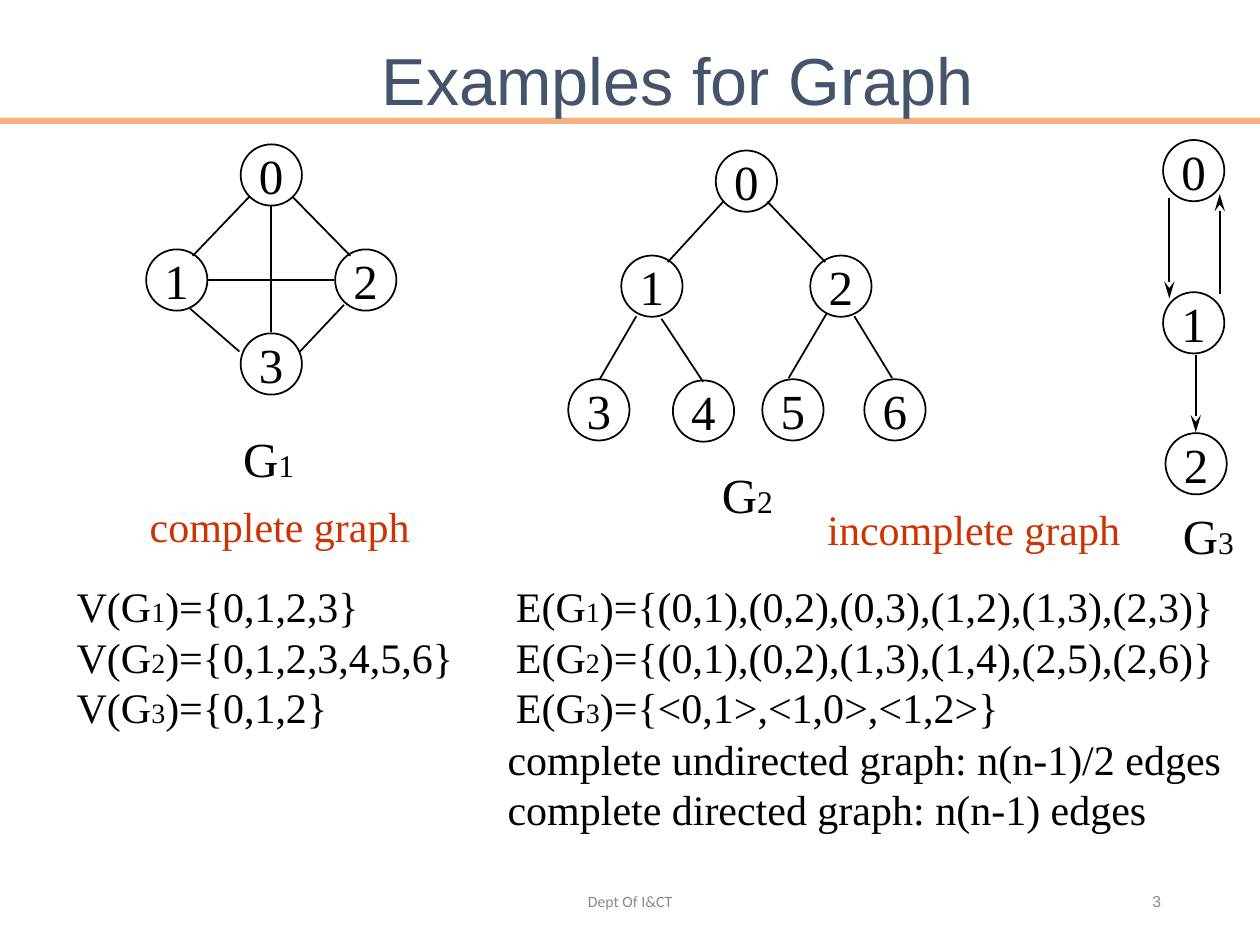
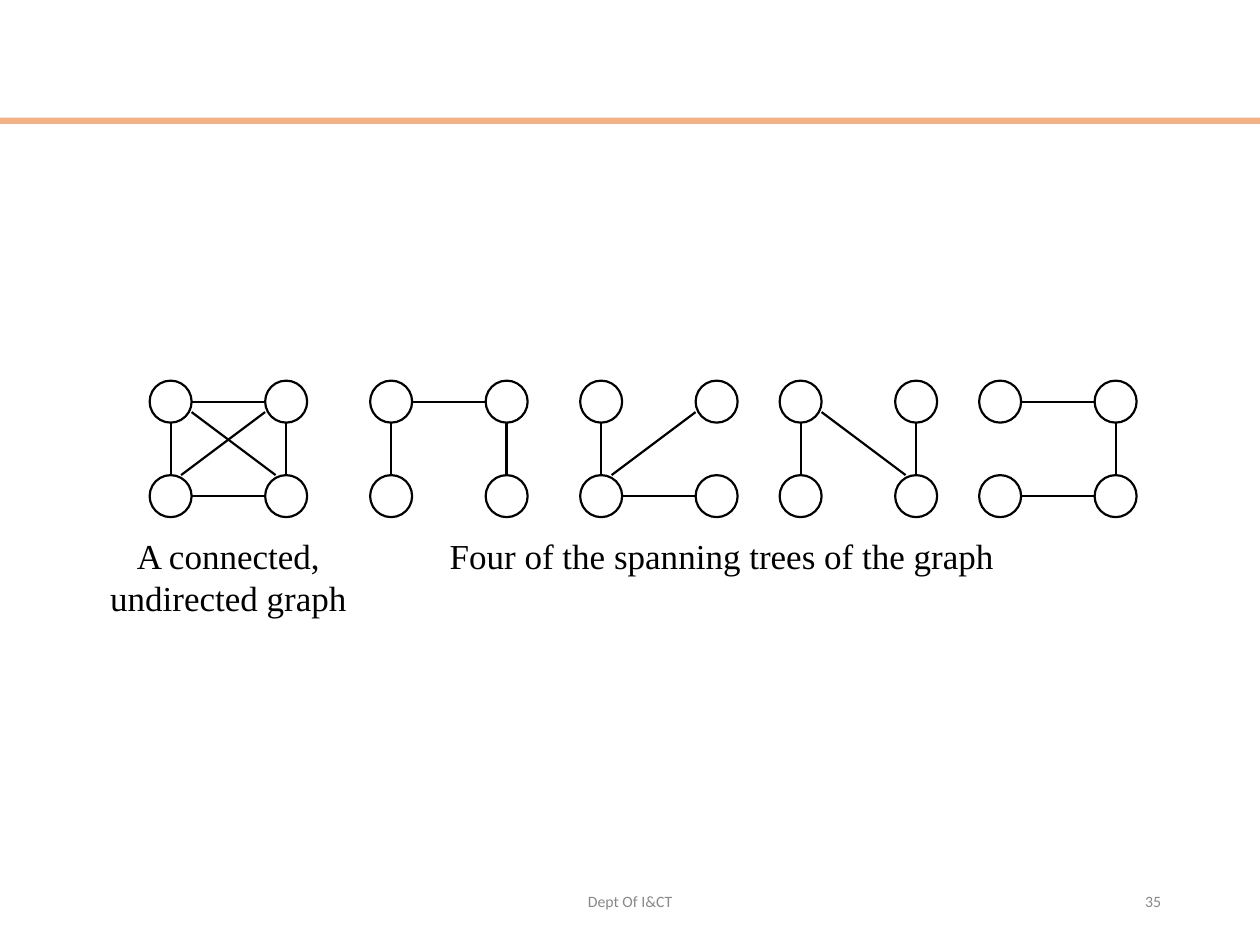
"""Builds two slides on graphs: example graphs with their sets, and spanning trees."""
from lxml import etree
from pptx import Presentation
from pptx.dml.color import RGBColor
from pptx.enum.shapes import MSO_CONNECTOR, MSO_SHAPE
from pptx.enum.text import MSO_ANCHOR, PP_ALIGN
from pptx.oxml.ns import qn
from pptx.util import Pt

LEFT, CENTER, RIGHT = PP_ALIGN.LEFT, PP_ALIGN.CENTER, PP_ALIGN.RIGHT
TOP, MIDDLE = MSO_ANCHOR.TOP, MSO_ANCHOR.MIDDLE
OVAL, RECTANGLE = MSO_SHAPE.OVAL, MSO_SHAPE.RECTANGLE
STRAIGHT = MSO_CONNECTOR.STRAIGHT

BLACK = RGBColor(0x00, 0x00, 0x00)
WHITE = RGBColor(0xFF, 0xFF, 0xFF)
BAND = RGBColor(0xF4, 0xB1, 0x83)
TITLE = RGBColor(0x44, 0x54, 0x6A)
FOOTER = RGBColor(0x89, 0x89, 0x89)
RED = RGBColor(0xCC, 0x33, 0x00)
SERIF, SANS, FOOTER_FONT = "Times New Roman", "Arial", "Calibri"


def write(box, lines, size, small=None, font=SERIF, color=BLACK, align=LEFT, anchor=TOP, wrap=False):
    """Fill a shape with lines in which text between underscores is small."""
    frame = box.text_frame
    frame.word_wrap = wrap
    frame.vertical_anchor = anchor
    for number, line in enumerate(lines):
        para = frame.add_paragraph() if number else frame.paragraphs[0]
        para.alignment = align
        first, *rest = line.split("_")
        para.text = first
        for piece in rest:
            para.add_run().text = piece
        for index, span in enumerate(para.runs):
            span.font.size = Pt(small if rest and index % 2 else size)
            span.font.name = font
            span.font.color.rgb = color


def connect(shapes, ends, width, arrow=False):
    """Draw a black line between two points, with an arrowhead if asked."""
    edge = shapes.add_connector(STRAIGHT, *[Pt(value) for value in ends])
    edge.line.color.rgb = BLACK
    edge.line.width = Pt(width)
    if arrow:
        etree.SubElement(edge.line._get_or_add_ln(), qn("a:tailEnd"), type="stealth", w="med", len="lg")
    etree.SubElement(edge._element.spPr, qn("a:effectLst"))


deck = Presentation()
deck.slide_width, deck.slide_height = Pt(720), Pt(540)

pages = []
for page_number, number_font in (("3", SANS), ("35", FOOTER_FONT)):
    page = deck.slides.add_slide(deck.slide_layouts[6])
    band = page.shapes.add_shape(RECTANGLE, Pt(0), Pt(67.2), Pt(720), Pt(3.6))
    band.shadow.inherit = False
    band.fill.solid()
    band.fill.fore_color.rgb = BAND
    band.line.fill.background()
    footers = (
        ("Dept Of I&CT", 238.5, 243, FOOTER_FONT, CENTER),
        (page_number, 508.5, 162, number_font, RIGHT),
    )
    for text, left, width, font, align in footers:
        box = page.shapes.add_textbox(Pt(left), Pt(500.5), Pt(width), Pt(28.75))
        write(box, [text], 9, font=font, color=FOOTER, align=align, anchor=MIDDLE, wrap=True)
    pages.append(page)

examples, spanning = pages

title = examples.shapes.add_textbox(Pt(54.7), Pt(0), Pt(665.3), Pt(90))
write(title, ["Examples for Graph"], 38, font=SANS, color=TITLE, align=CENTER, anchor=MIDDLE, wrap=True)

NODE = 35
graphs = [
    {
        "name": "G_1_", "label": (131.8, 241.2), "directed": False,
        "nodes": [(137.5, 82.5), (83.5, 142.5), (191.5, 142.5), (137.5, 190.5)],
        "edges": [
            (155, 118, 155, 190), (118.8, 160, 190.8, 160),
            (142.6, 112.3, 110.2, 146.2), (167, 112.3, 200.2, 146.2),
            (108.7, 176.4, 136.8, 200.9), (196.6, 174.2, 171.4, 200.9),
        ],
    },
    {
        "name": "G_2_", "label": (405.4, 262.1), "directed": False,
        "nodes": [(409, 86), (355, 146), (463, 146), (324.7, 216.7),
                  (384.5, 217.4), (435.6, 216.7), (493.9, 216.7)],
        "edges": [
            (413.3, 115.2, 381.6, 149.8), (438.5, 115.2, 471.6, 149.8),
            (363.6, 180.7, 342.7, 216.7), (378, 182.2, 401.8, 218.2),
            (472.3, 179.3, 450.7, 216), (488.2, 180.7, 509.8, 216),
        ],
    },
    {
        "name": "G_3_", "label": (668.9, 285.1), "directed": True,
        "nodes": [(664.6, 80), (664.6, 167), (666, 247.5)],
        "edges": [
            (683.3, 203, 683.3, 247), (697, 167.8, 697, 110.9),
            (668.2, 113, 668.2, 170.6),
        ],
    },
]
for graph in graphs:
    for label, (left, top) in enumerate(graph["nodes"]):
        node = examples.shapes.add_shape(OVAL, Pt(left), Pt(top), Pt(NODE), Pt(NODE))
        node.shadow.inherit = False
        node.fill.solid()
        node.fill.fore_color.rgb = WHITE
        node.line.color.rgb = BLACK
        node.line.width = Pt(1)
        write(node, [str(label)], 28, align=CENTER, anchor=MIDDLE)
    for ends in graph["edges"]:
        connect(examples.shapes, ends, 1, graph["directed"])
    left, top = graph["label"]
    box = examples.shapes.add_textbox(Pt(left), Pt(top), Pt(44), Pt(41))
    write(box, [graph["name"]], 28, small=18)

sets = examples.shapes.add_textbox(Pt(36.7), Pt(328.3), Pt(672), Pt(93.6))
write(sets, [
    "V(G_1_)={0,1,2,3}\tE(G_1_)={(0,1),(0,2),(0,3),(1,2),(1,3),(2,3)}",
    "V(G_2_)={0,1,2,3,4,5,6}\tE(G_2_)={(0,1),(0,2),(1,3),(1,4),(2,5),(2,6)}",
    "V(G_3_)={0,1,2}\tE(G_3_)={<0,1>,<1,0>,<1,2>}",
], 24, small=16, wrap=True)
for para in sets.text_frame.paragraphs:
    tabs = etree.SubElement(para._p.get_or_add_pPr(), qn("a:tabLst"))
    etree.SubElement(tabs, qn("a:tab"), pos=str(Pt(251)), algn="l")

edge_counts = examples.shapes.add_textbox(Pt(283), Pt(415.4), Pt(432), Pt(64.8))
write(edge_counts, [
    "complete undirected graph: n(n-1)/2 edges",
    "complete directed graph: n(n-1) edges",
], 24, anchor=MIDDLE, wrap=True)

for text, left, top, width in (
    ("complete graph", 73.5, 282.2, 172.7),
    ("incomplete graph", 460.8, 284.4, 191.4),
):
    box = examples.shapes.add_textbox(Pt(left), Pt(top), Pt(width), Pt(36))
    write(box, [text], 24, color=RED, align=CENTER, anchor=MIDDLE, wrap=True)

DOT, COLUMN_STEP, ROW_STEP, TREE_TOP = 24, 66, 54, 217.5
SIDES = {
    "left": (12, 24, 12, 54),
    "right": (78, 24, 78, 54),
    "top": (24, 12, 66, 12),
    "bottom": (24, 66, 66, 66),
    "rising": (18, 54, 66, 18),
    "falling": (24, 18, 72, 54),
}
connected_graph = [(85.5, list(SIDES))]
spanning_trees = [
    (211.5, ["left", "right", "top"]),
    (331.5, ["left", "bottom", "rising"]),
    (445.5, ["left", "right", "falling"]),
    (559.5, ["right", "top", "bottom"]),
]
families = (
    (connected_graph, "A connected,\vundirected graph", 49.5, 162, 55.5),
    (spanning_trees, "Four of the spanning trees of the graph", 211.5, 402, 31.5),
)
for drawings, caption, caption_left, caption_width, caption_height in families:
    shapes = spanning.shapes.add_group_shape().shapes
    for left, sides in drawings:
        for column, row in ((0, 0), (0, 1), (1, 1), (1, 0)):
            dot = shapes.add_shape(OVAL, Pt(left + column * COLUMN_STEP),
                                   Pt(TREE_TOP + row * ROW_STEP), Pt(DOT), Pt(DOT))
            dot.shadow.inherit = False
            dot.fill.background()
            dot.line.color.rgb = BLACK
            dot.line.width = Pt(1.25)
        for side in sides:
            x1, y1, x2, y2 = SIDES[side]
            connect(shapes, (left + x1, TREE_TOP + y1, left + x2, TREE_TOP + y2), 1.25)
    box = shapes.add_textbox(Pt(caption_left), Pt(302), Pt(caption_width), Pt(caption_height))
    write(box, [caption], 20, align=CENTER, wrap=True)
    box.text_frame.paragraphs[0].space_before = Pt(12.5)

deck.save("out.pptx")
